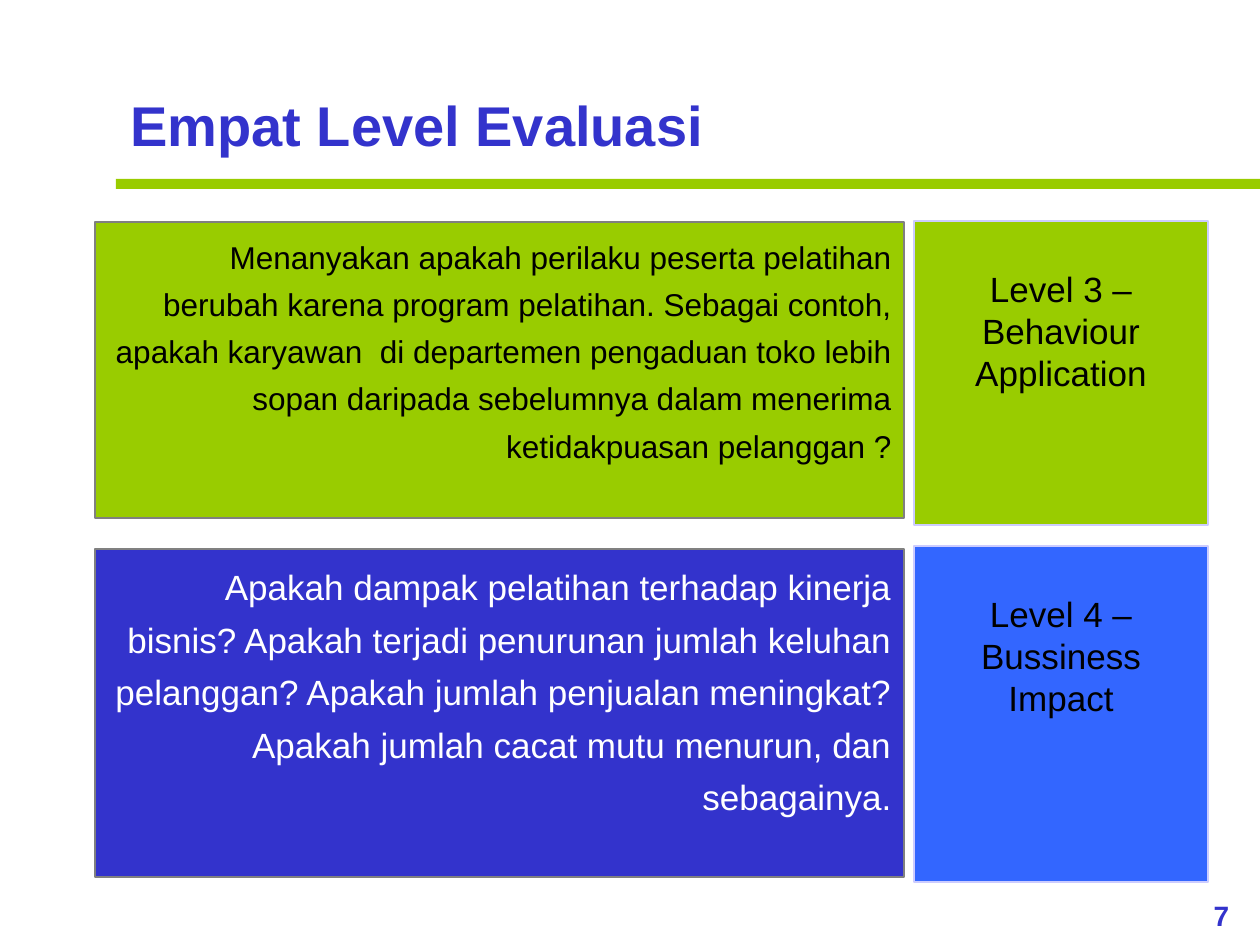
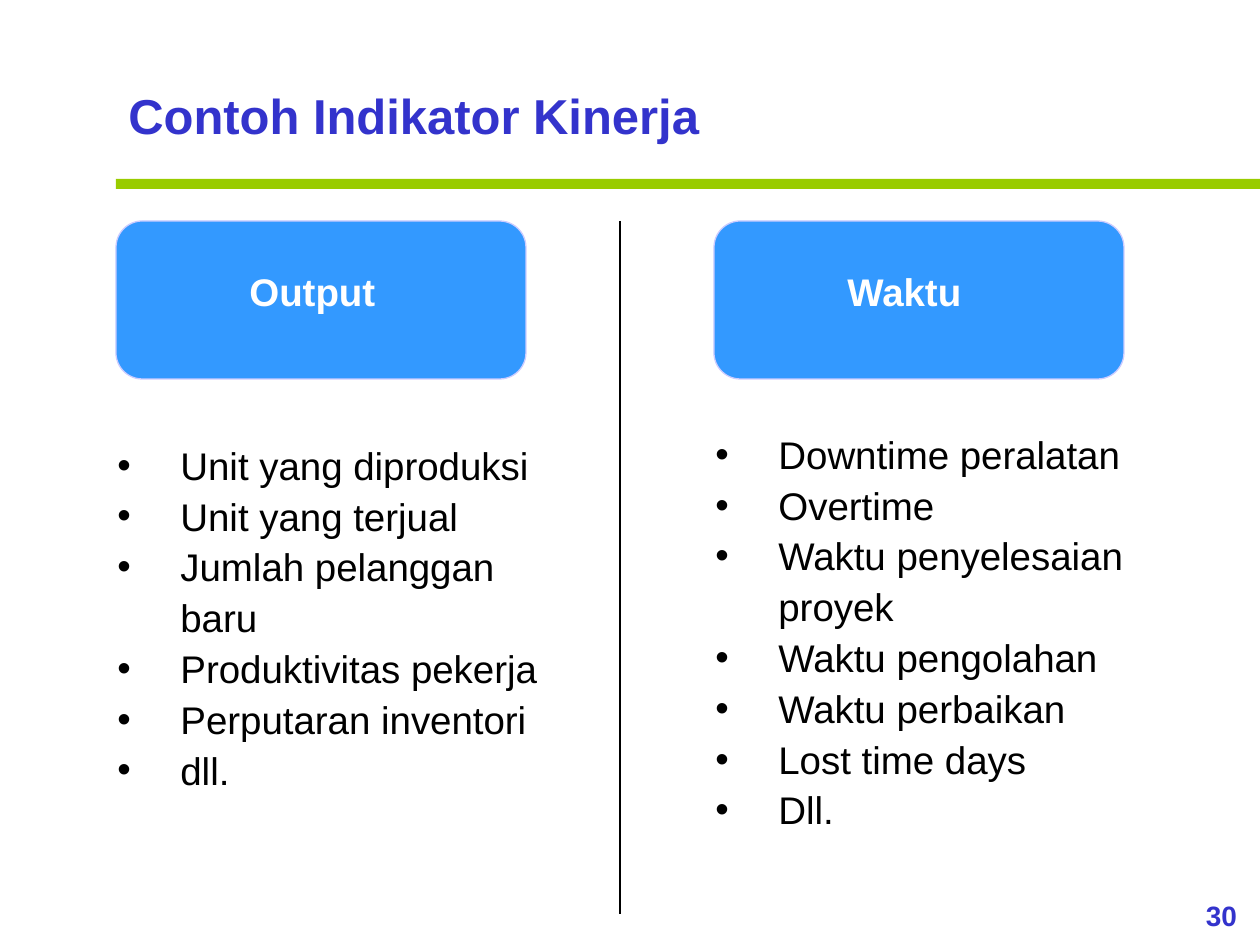
from pptx import Presentation
from pptx.dml.color import RGBColor
from pptx.enum.shapes import MSO_CONNECTOR as Conn, MSO_SHAPE as Geo
from pptx.enum.text import MSO_ANCHOR as Anchor, PP_ALIGN as Align
from pptx.oxml.ns import qn
from pptx.util import Pt
from lxml.etree import SubElement
from dataclasses import dataclass

# Content
LEVELS = {
    "title": "Empat Level Evaluasi",
    "page": "7",
    "rows": [
        ("Level 3 – Behaviour Application",
         "Menanyakan apakah perilaku peserta pelatihan berubah karena program "
         "pelatihan. Sebagai contoh, apakah karyawan  di departemen pengaduan "
         "toko lebih sopan daripada sebelumnya dalam menerima ketidakpuasan "
         "pelanggan ?"),
        ("Level 4 – Bussiness Impact",
         "Apakah dampak pelatihan terhadap kinerja bisnis? Apakah terjadi "
         "penurunan jumlah keluhan pelanggan? Apakah jumlah penjualan "
         "meningkat? Apakah jumlah cacat mutu menurun, dan sebagainya."),
    ],
}
METRICS = {
    "title": "Contoh Indikator Kinerja",
    "page": "30",
    "groups": [
        ("Output", ["Unit yang diproduksi", "Unit yang terjual",
                    "Jumlah pelanggan baru", "Produktivitas pekerja",
                    "Perputaran inventori", "dll."]),
        ("Waktu", ["Downtime peralatan", "Overtime",
                   "Waktu penyelesaian proyek", "Waktu pengolahan",
                   "Waktu perbaikan", "Lost time days", "Dll."]),
    ],
}


@dataclass(frozen=True)
class Theme:
    font: str = "Arial"
    navy: str = "3333CC"
    green: str = "99CC00"
    blue: str = "3366FF"
    sky: str = "3399FF"
    edge: str = "CCCCFF"
    gray: str = "808080"
    black: str = "000000"
    white: str = "FFFFFF"
    page: int = 16
    small: int = 18
    body: int = 20
    large: int = 22


T = Theme()
EMU = 914400 / 126
WIDE, HIGH = 1260, 945
TOP = 221


def px(n):
    return round(n * EMU)


def rgb(code):
    return RGBColor.from_string(code)


# Drawing helpers
def write(shape, lines, size, color, bold=False, align=Align.LEFT,
          lead=1.0, dots=False):
    frame = shape.text_frame
    frame.word_wrap = True
    frame.vertical_anchor = Anchor.TOP
    frame.text = "\n".join(lines)
    for para in frame.paragraphs:
        para.alignment = align
        para.line_spacing = lead
        if dots:
            props = para._p.get_or_add_pPr()
            props.set("marL", str(px(63)))
            props.set("indent", str(-px(63)))
            SubElement(props, qn("a:buFont")).set("typeface", T.font)
            SubElement(props, qn("a:buChar")).set("char", "•")
        for run in para.runs:
            font = run.font
            font.name, font.size, font.bold = T.font, Pt(size), bold
            font.color.rgb = rgb(color)


def text(slide, area, lines, size, color, **style):
    box = slide.shapes.add_textbox(*map(px, area))
    write(box, lines, size, color, **style)


def panel(slide, area, fill, edge=None, width=0.75, geo=Geo.RECTANGLE):
    shape = slide.shapes.add_shape(geo, *map(px, area))
    shape.shadow.inherit = False
    shape.fill.solid()
    shape.fill.fore_color.rgb = rgb(fill)
    if edge:
        shape.line.color.rgb = rgb(edge)
        shape.line.width = Pt(width)
    else:
        shape.line.fill.background()
    return shape


def rule(slide, x, top, end):
    line = slide.shapes.add_connector(Conn.STRAIGHT, px(x), px(top), px(x), px(end))
    line.line.color.rgb = rgb(T.black)
    line.line.width = Pt(0.75)
    SubElement(line._element.spPr, qn("a:effectLst"))


def start(deck, data, area, size, lead=1.0):
    """Add a slide with its title, green band and page number."""
    slide = deck.slides.add_slide(deck.slide_layouts[6])
    panel(slide, (116, 179, WIDE - 116, 10), T.green)
    text(slide, (1183, 892, 77, 47), [data["page"]], T.page, T.navy,
         bold=True, align=Align.CENTER)
    text(slide, area, [data["title"]], size, T.navy, bold=True, lead=lead)
    return slide


# Levels: an explanation on the left, its level on the right
def levels(deck):
    slide = start(deck, LEVELS, (118, 84, 620, 81), 32)
    looks = [  # tile top, height, fill; note top, height, fill, ink, size
        (TOP, 304, T.green, 222, 296, T.green, T.black, T.small),
        (546, 336, T.blue, 549, 328, T.navy, T.white, T.body),
    ]
    for (name, note), look in zip(LEVELS["rows"], looks):
        top, tall, fill, y, deep, back, ink, size = look
        panel(slide, (914, top, 294, tall), fill, T.edge)
        text(slide, (914, top + 40, 294, 139), [name], T.body, T.black,
             align=Align.CENTER)
        box = panel(slide, (95, y, 809, deep), back, T.gray, 1)
        write(box, [note], size, ink, align=Align.RIGHT, lead=1.25)


# Metrics: two headed lists with a rule between them
def metrics(deck):
    slide = start(deck, METRICS, (116, 73, 620, 78), 28, 1.1)
    spots = [(431, 368), (420, 470)]  # list top, height
    for i, ((head, items), spot) in enumerate(zip(METRICS["groups"], spots)):
        top, tall = spot
        x = 116 + 598 * i
        panel(slide, (x, TOP, 410, 158), T.sky, T.edge, geo=Geo.ROUNDED_RECTANGLE)
        text(slide, (x + 121, TOP + 41, 170, 59), [head], T.large, T.white,
             bold=True)
        text(slide, (x - 11, top, 483, tall), items, T.large, T.black,
             lead=1.1, dots=True)
    rule(slide, 620, TOP, 914)


def main():
    deck = Presentation()
    deck.slide_width, deck.slide_height = px(WIDE), px(HIGH)
    levels(deck)
    metrics(deck)
    deck.save("out.pptx")


if __name__ == "__main__":
    main()
